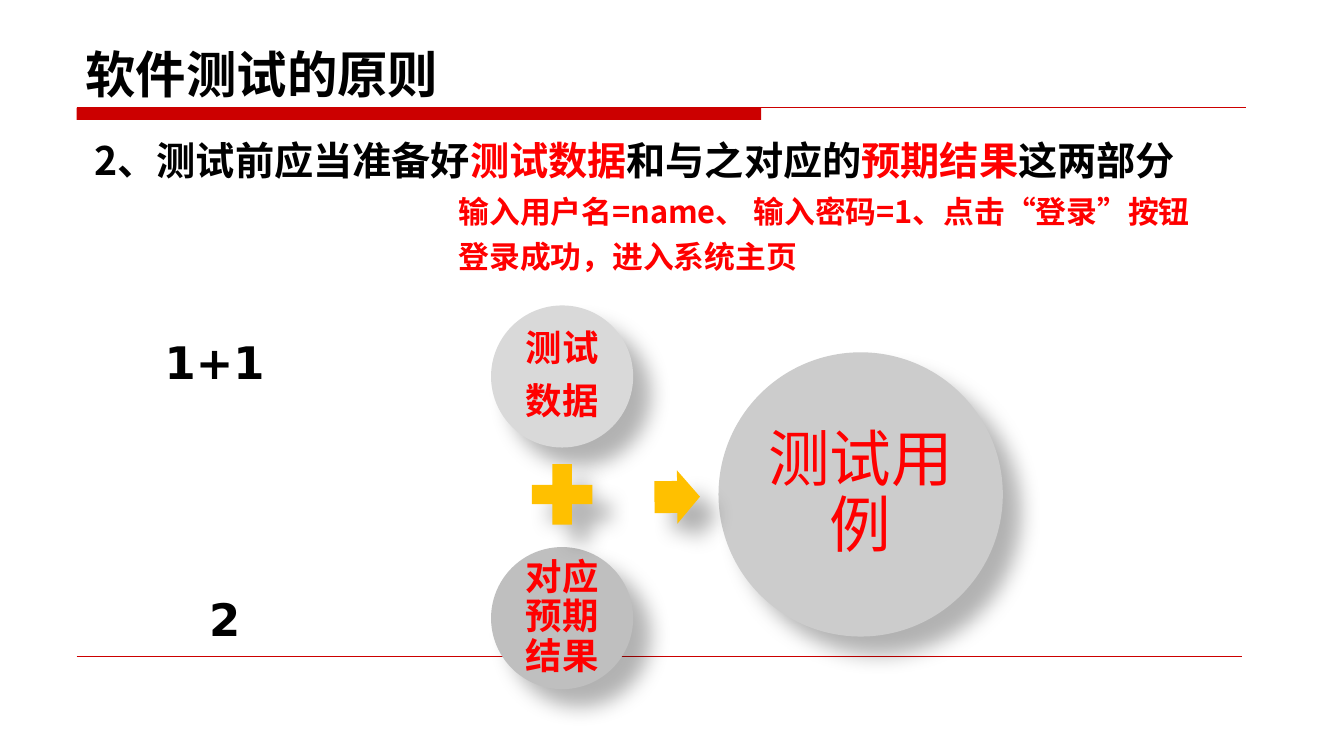
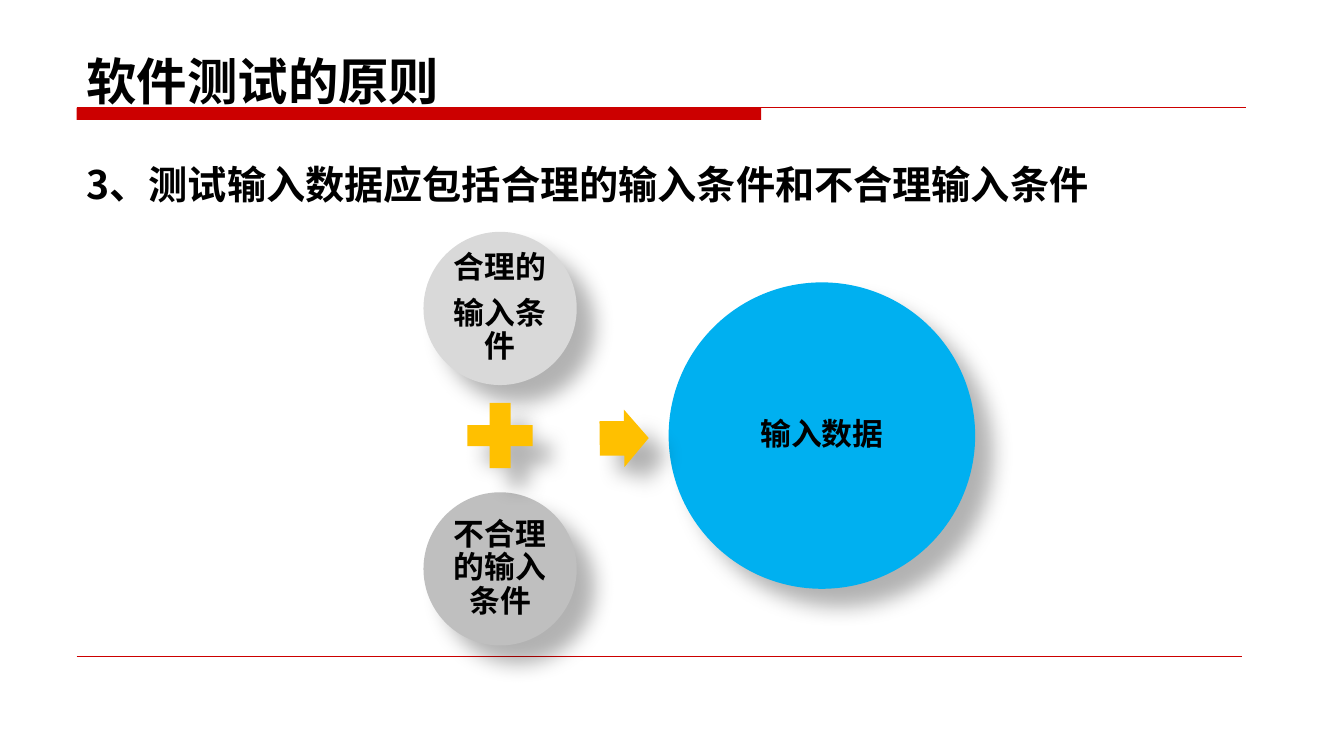
from dataclasses import dataclass

from lxml import etree
from pptx import Presentation
from pptx import util as u
from pptx.dml.color import RGBColor
from pptx.enum import shapes, text
from pptx.oxml import ns


@dataclass(frozen=True)
class Theme:
    black: str = "000000"
    red: str = "FF0000"
    band: str = "CC0000"
    gold: str = "FFC000"
    light: str = "D9D9D9"
    middle: str = "BFBFBF"
    grey: str = "CCCCCC"
    blue: str = "00B0F0"
    font: str = "Noto Sans CJK SC"
    number_font: str = "DejaVu Sans"
    title: int = 36
    heading: int = 28
    number: int = 32
    note: int = 22


THEME = Theme()
SHAPE = shapes.MSO_SHAPE
WIDTH, HEIGHT = 13.33, 7.5
LEFT, CONTENT_WIDTH = 0.76, 11.67


def add_span(para, words, size, color, bold=True, font=THEME.font):
    span = para.add_run()
    span.text = words
    span.font.size = u.Pt(size)
    span.font.bold = bold
    span.font.name = font
    span.font.color.rgb = RGBColor.from_string(color)
    east_asian = etree.SubElement(span.font._element, ns.qn("a:ea"))
    east_asian.set("typeface", font)


def add_paras(frame, paras, size, bold=True, font=THEME.font,
              align=text.PP_ALIGN.LEFT, spacing=1.0, after=0):
    """Each paragraph is a list of (words, color) pairs."""
    for index, spans in enumerate(paras):
        para = frame.add_paragraph() if index else frame.paragraphs[0]
        para.alignment = align
        para.line_spacing = spacing
        para.space_after = u.Pt(after)
        for words, color in spans:
            add_span(para, words, size, color, bold, font)


def add_text(page, box, paras, size, anchor=text.MSO_ANCHOR.TOP, **style):
    frame = page.shapes.add_textbox(*map(u.Inches, box)).text_frame
    frame.word_wrap = True
    frame.vertical_anchor = anchor
    add_paras(frame, paras, size, **style)


def add_solid(page, kind, box, color):
    shape = page.shapes.add_shape(kind, *map(u.Inches, box))
    shape.shadow.inherit = False
    shape.fill.solid()
    shape.fill.fore_color.rgb = RGBColor.from_string(color)
    shape.line.fill.background()
    return shape


def add_rule(page, left, right, top, weight):
    rule = page.shapes.add_connector(
        shapes.MSO_CONNECTOR.STRAIGHT, *map(u.Inches, (left, top, right, top)))
    rule.line.color.rgb = RGBColor.from_string(THEME.band)
    rule.line.width = u.Pt(weight)
    etree.SubElement(rule._element.spPr, ns.qn("a:effectLst"))


def cast_shadow(shape):
    effects = shape._element.spPr.find(ns.qn("a:effectLst"))
    shadow = etree.SubElement(effects, ns.qn("a:outerShdw"), blurRad=str(u.Pt(15)),
                              dist=str(u.Pt(18)), dir="2700000", algn="ctr",
                              rotWithShape="0")
    color = etree.SubElement(shadow, ns.qn("a:srgbClr"), val=THEME.black)
    etree.SubElement(color, ns.qn("a:alpha"), val="30000")


def add_page(deck, title_box, heading_box, heading):
    """Page with title, red band, footer rule and heading."""
    page = deck.slides.add_slide(deck.slide_layouts[6])
    add_solid(page, SHAPE.RECTANGLE, (LEFT, 1.07, 6.79, 0.12), THEME.band)
    add_rule(page, LEFT, 12.36, 1.07, 0.75)
    add_rule(page, LEFT, 12.32, 6.51, 0.25)
    add_text(page, title_box, [[("软件测试的原则", THEME.black)]], THEME.title,
             anchor=text.MSO_ANCHOR.BOTTOM)
    add_text(page, heading_box, [heading], THEME.heading, spacing=1.5)
    return page


def add_equation(page, left, top, unit, parts):
    """Two circles add up to a large one; unit is the small diameter.

    Each part is (paragraphs, fill, text color, size, bold, inset).
    """
    def place(x, y, width, height):
        return left + x * unit, top + y * unit, width * unit, height * unit

    # Circles: first term, second term, sum
    spots = [(0, 0, 1, 1), (0, 1.7, 1, 1), (1.6, 0.33, 2, 2)]
    for spot, (lines, fill, color, size, bold, inset) in zip(spots, parts):
        circle = add_solid(page, SHAPE.OVAL, place(*spot), fill)
        cast_shadow(circle)
        frame = circle.text_frame
        frame.word_wrap = True
        frame.vertical_anchor = text.MSO_ANCHOR.MIDDLE
        frame.margin_left = frame.margin_right = u.Inches(inset)
        frame.margin_top = frame.margin_bottom = u.Inches(inset)
        add_paras(frame, [[(line, color)] for line in lines], size, bold,
                  align=text.PP_ALIGN.CENTER, spacing=0.9, after=round(size * 0.4))

    # Plus sign and arrow
    cast_shadow(add_solid(page, SHAPE.MATH_PLUS, place(0.21, 1.04, 0.58, 0.58), THEME.gold))
    arrow = add_solid(page, SHAPE.RIGHT_ARROW, place(1.15, 1.16, 0.32, 0.375), THEME.gold)
    arrow.adjustments[0] = 0.6
    arrow.adjustments[1] = 0.5
    arrow.rotation = 359.4
    cast_shadow(arrow)


def build_test_case(deck):
    black, red = THEME.black, THEME.red
    page = add_page(
        deck, (0.75, 0.29, CONTENT_WIDTH, 0.79), (0.84, 1.07, CONTENT_WIDTH, 0.8),
        [("2、测试前应当准备好", black), ("测试数据", red), ("和与之对应的", black),
         ("预期结果", red), ("这两部分", black)])
    add_equation(page, 4.87, 3.03, 1.41, [
        (["测试", "数据"], THEME.light, red, 26, True, 0.04),
        (["对应预期结果"], THEME.middle, red, 26, True, 0.04),
        (["测试用例"], THEME.grey, red, 44, False, 0.06)])

    # Sample sum and its result
    for words, left, top in [("1+1", 1.38, 3.27), ("2", 1.48, 5.82)]:
        add_text(page, (left, top, 1.5, 0.64), [[(words, black)]], THEME.number,
                 font=THEME.number_font, align=text.PP_ALIGN.CENTER)

    # Login example
    steps = ["输入用户名=name、 输入密码=1、点击“登录”按钮", "登录成功，进入系统主页"]
    add_text(page, (4.45, 1.86, 8.34, 1), [[(step, red)] for step in steps],
             THEME.note, after=6)


def build_input_data(deck):
    black = THEME.black
    page = add_page(
        deck, (LEFT, 0.36, CONTENT_WIDTH, 0.79), (LEFT, 1.31, CONTENT_WIDTH, 0.8),
        [("3、测试输入数据应包括合理的输入条件和不合理输入条件", black)])
    add_equation(page, 4.2, 2.3, 1.52, [
        (["合理的", "输入条件"], THEME.light, black, THEME.note, True, 0.03),
        (["不合理的输入条件"], THEME.middle, black, THEME.note, True, 0.03),
        (["输入数据"], THEME.blue, black, THEME.note, True, 0.03)])


def main():
    deck = Presentation()
    deck.slide_width, deck.slide_height = u.Inches(WIDTH), u.Inches(HEIGHT)
    build_test_case(deck)
    build_input_data(deck)
    deck.save("out.pptx")


if __name__ == "__main__":
    main()
